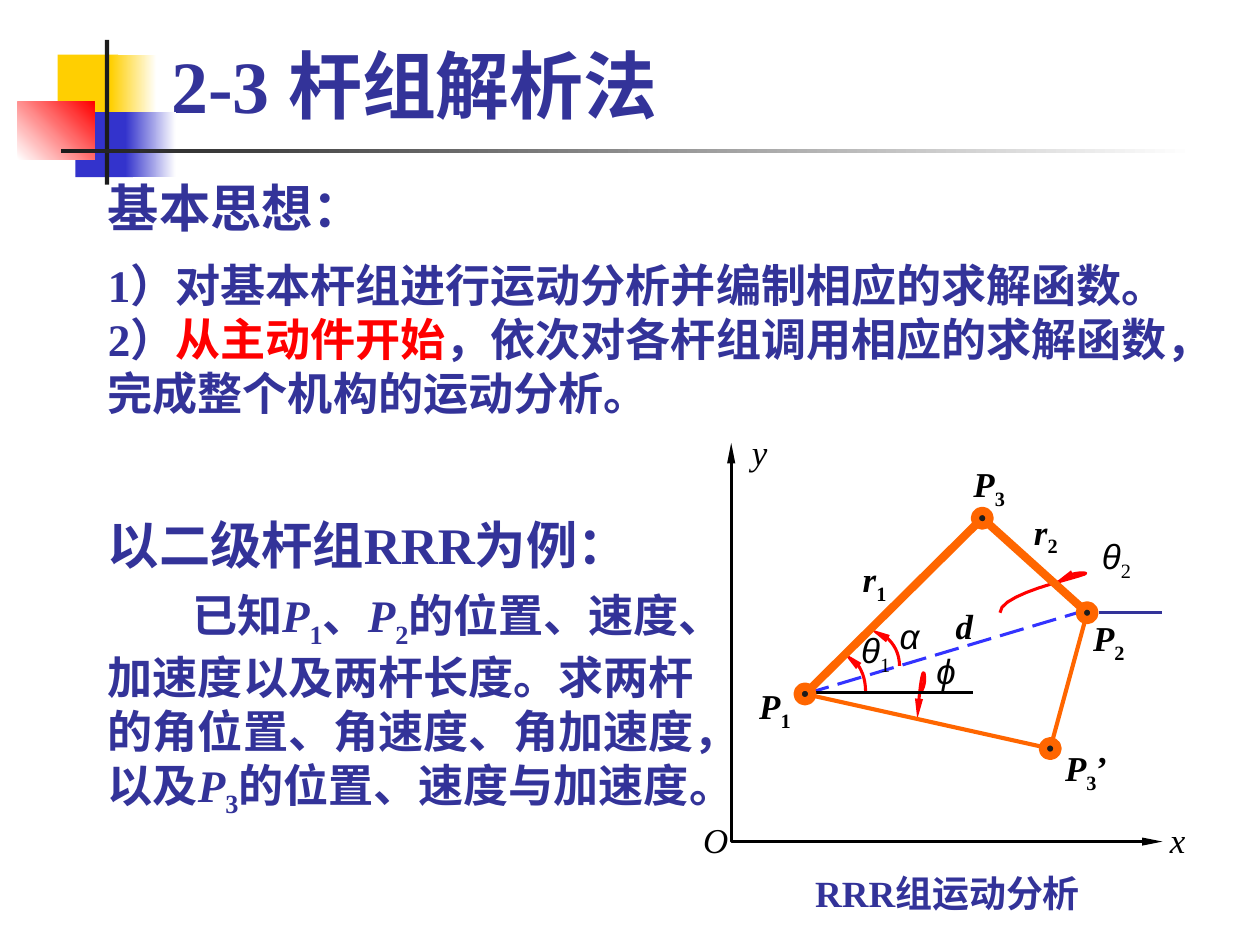
import pptx
import pptx.util
import pptx.dml.color
import pptx.enum.dml
import pptx.enum.lang
import pptx.enum.shapes
import pptx.enum.text
import pptx.oxml.ns
from lxml import etree

Inches = pptx.util.Inches
RGB = pptx.dml.color.RGBColor.from_string
qn = pptx.oxml.ns.qn
ANCHOR = pptx.enum.text.MSO_ANCHOR
ALIGN = pptx.enum.text.PP_ALIGN
SHAPE = pptx.enum.shapes.MSO_SHAPE

THEME = {
    "serif": "Times New Roman", "sans": "Arial",
    "text": "333399", "accent": "FF0000", "black": "000000", "ink": "1C1C1C",
    "yellow": "FFCF01", "blue": "3333CC", "white": "FFFFFF",
    "bar": "FF6600", "dash": "3333FF",
    "title": 36, "heading": 25, "body": 22, "caption": 18, "label": 17,
}
TITLE = {"size": "title", "bold": True}
HEADING = {"size": "heading", "bold": True}
BODY = {"size": "body", "bold": True}
CAPTION = {"size": "caption", "bold": True}
AXIS = {"size": "label", "color": "black", "italic": True}
JOINT = {"size": "label", "color": "black", "bold": True, "italic": True}
ANGLE = {"size": "label", "color": "black", "italic": True, "font": "sans"}
SUB = {"italic": False, "font": "serif", "baseline": "-25000"}
ITALIC = {"italic": True}
RED = {"color": "accent"}


def write(frame, style, paragraphs, anchor=ANCHOR.TOP, spacing=None, align=ALIGN.LEFT):
    """Fill a text frame; each paragraph is a list of (text, style change) runs."""
    frame_format = {"word_wrap": True, "vertical_anchor": anchor,
                    "margin_left": Inches(0.09), "margin_right": Inches(0.09),
                    "margin_top": Inches(0.04), "margin_bottom": Inches(0.04)}
    for name, value in frame_format.items():
        setattr(frame, name, value)
    for index, runs in enumerate(paragraphs):
        paragraph = frame.add_paragraph() if index else frame.paragraphs[0]
        paragraph.alignment = align
        paragraph.line_spacing = spacing
        for text, change in runs:
            look = {**style, **change}
            run = paragraph.add_run()
            run.text = text
            run_format = {
                "name": THEME[look.get("font", "serif")],
                "size": pptx.util.Pt(THEME[look["size"]]),
                "bold": look.get("bold", False),
                "italic": look.get("italic", False),
                "language_id": pptx.enum.lang.MSO_LANGUAGE_ID.SIMPLIFIED_CHINESE,
            }
            for name, value in run_format.items():
                setattr(run.font, name, value)
            run.font.color.rgb = RGB(look_color := THEME[look.get("color", "text")])
            if "baseline" in look:
                run.font._element.set("baseline", look["baseline"])


def stroke(shape, color, width, arrows=()):
    """Set the outline, its arrowheads and an empty effect list."""
    shape.line.color.rgb = RGB(THEME[color])
    shape.line.width = pptx.util.Pt(width)
    properties = shape._element.spPr
    for end in arrows:
        etree.SubElement(properties.find(qn("a:ln")), qn("a:" + end),
                         type="triangle", w="sm", len="lg")
    if properties.find(qn("a:effectLst")) is None:
        etree.SubElement(properties, qn("a:effectLst"))


deck = pptx.Presentation()
deck.slide_width, deck.slide_height = Inches(8.53), Inches(6.4)
slide = deck.slides.add_slide(deck.slide_layouts[5])

# Corner ornament: box, fill from, fill to, gradient angle
ornament = [
    ((0.39, 0.37, 0.41, 0.44), "yellow", None, 0),
    ((0.75, 0.37, 0.31, 0.44), "yellow", "white", 0),
    ((0.51, 0.76, 0.39, 0.44), "blue", None, 0),
    ((0.85, 0.76, 0.34, 0.44), "blue", "white", 0),
    ((0.12, 0.69, 0.52, 0.39), "white", "accent", 45),
    ((0.71, 0.27, 0.03, 0.98), "ink", None, 0),
    ((0.41, 1.01, 7.68, 0.03), "ink", "white", 0),
]
for box, start, end, angle in ornament:
    block = slide.shapes.add_shape(SHAPE.RECTANGLE, *map(Inches, box))
    block.shadow.inherit = False
    block.line.fill.background()
    if end:
        block.fill.gradient()
        block.fill.gradient_angle = angle
        for stop, color in zip(block.fill.gradient_stops, (start, end)):
            stop.color.rgb = RGB(THEME[color])
    else:
        block.fill.solid()
        block.fill.fore_color.rgb = RGB(THEME[start])

title = slide.shapes.title
title.left, title.top, title.width, title.height = map(Inches, (1.07, 0.22, 7.27, 0.69))
write(title.text_frame, TITLE, [[("2-3 杆组解析法", {})]], ANCHOR.BOTTOM)

passages = [
    ((0.64, 1.19, 7.25, 0.43), HEADING, ANCHOR.MIDDLE, 0, [[("基本思想：", {})]]),
    ((0.64, 1.7, 7.44, 1.19), BODY, ANCHOR.TOP, 0, [
        [("1）对基本杆组进行运动分析并编制相应的求解函数。", {})],
        [("2）", {}), ("从主动件开始", RED),
         ("，依次对各杆组调用相应的求解函数，完成整个机构的运动分析。", {})]]),
    ((0.64, 3.47, 7.25, 0.43), HEADING, ANCHOR.MIDDLE, 0, [[("以二级杆组RRR为例：", {})]]),
    ((0.64, 3.94, 4.31, 2.02), BODY, ANCHOR.TOP, 0.57, [
        [("已知", {}), ("P", ITALIC), ("1", SUB), ("、", {}), ("P", ITALIC), ("2", SUB),
         ("的位置、速度、加速度以及两杆长度。求两杆的角位置、角速度、角加速度，以及", {}),
         ("P", ITALIC), ("3", SUB), ("的位置、速度与加速度。", {})]]),
]
for box, style, anchor, indent, paragraphs in passages:
    frame = slide.shapes.add_textbox(*map(Inches, box)).text_frame
    write(frame, style, paragraphs, anchor)
    if indent:
        frame.paragraphs[0]._p.get_or_add_pPr().set("indent", str(Inches(indent)))

# Linkage diagram
diagram = slide.shapes.add_group_shape().shapes
P1, P2, P3, P3_MIRROR = (5.45, 4.7), (7.36, 4.15), (6.65, 3.51), (7.11, 5.07)

arcs = {
    "theta2": [(6.77, 4.15), (6.77, 4), (7.48, 3.88), (7.33, 3.88),
               (7.26, 3.88), (7.19, 3.91), (7.14, 3.95)],
    "phi": [(6.24, 4.68), (6.25, 4.66), (6.26, 4.63), (6.26, 4.6),
            (6.26, 4.54), (6.24, 4.48), (6.21, 4.87)],
    "alpha": [(6.09, 4.51), (6.09, 4.39), (6.01, 4.29), (5.89, 4.26)],
    "theta1": [(5.86, 4.68), (5.86, 4.56), (5.8, 4.46), (5.71, 4.42)],
}
STEPS = 12
outlines = [([(4.95, 3), (4.95, 5.7), (7.87, 5.7)], "black", ("headEnd", "tailEnd"))]
for controls in arcs.values():
    points = [controls[0]]
    for first in range(0, len(controls) - 1, 3):
        a, b, c, d = controls[first:first + 4]
        for step in range(1, STEPS + 1):
            t = step / STEPS
            u = 1 - t
            points.append([u**3 * a[k] + 3 * u * u * t * b[k] + 3 * u * t * t * c[k]
                           + t**3 * d[k] for k in (0, 1)])
    outlines.append((points, "accent", ("tailEnd",)))
for points, color, arrows in outlines:
    points = [(Inches(x), Inches(y)) for x, y in points]
    builder = diagram.build_freeform(*points[0])
    builder.add_line_segments(points[1:], close=False)
    outline = builder.convert_to_shape()
    outline.fill.background()
    stroke(outline, color, 1.5, arrows)

segments = [
    (P1, (7.36, 4.13), "dash", 1.5),
    (P1, P3_MIRROR, "bar", 2),
    (P1, P3, "bar", 4),
    (P3, P2, "bar", 4),
    (P3_MIRROR, P2, "bar", 2),
    ((5.52, 4.69), (6.59, 4.69), "black", 1.5),
    ((7.44, 4.15), (7.87, 4.15), "text", 1.5),
]
for start, end, color, width in segments:
    segment = diagram.add_connector(pptx.enum.shapes.MSO_CONNECTOR.STRAIGHT,
                                    *map(Inches, start + end))
    stroke(segment, color, width)
    if color == "dash":
        segment.line.dash_style = pptx.enum.dml.MSO_LINE.LONG_DASH

for x, y in (P1, P2, P3, P3_MIRROR):
    pin = diagram.add_shape(SHAPE.OVAL, *map(Inches, (x - 0.05, y - 0.05, 0.1, 0.1)))
    pin.shadow.inherit = False
    pin.fill.solid()
    pin.fill.fore_color.rgb = RGB(THEME["ink"])
    stroke(pin, "bar", 4)

labels = [
    (5, 2.86, 0.36, AXIS, "y", "", ""),
    (4.67, 5.49, 0.34, AXIS, "O", "", ""),
    (7.83, 5.49, 0.36, AXIS, "x", "", ""),
    (5.05, 4.58, 0.5, JOINT, "P", "1", ""),
    (7.31, 4.12, 0.56, JOINT, "P", "2", ""),
    (6.5, 3.08, 0.66, JOINT, "P", "3", ""),
    (7.12, 5, 0.56, JOINT, "P", "3", "’"),
    (5.75, 3.72, 0.52, JOINT, "r", "1", ""),
    (6.91, 3.4, 0.46, JOINT, "r", "2", ""),
    (6.38, 4.04, 0.36, JOINT, "d", "", ""),
    (6, 4.12, 0.34, ANGLE, "α", "", ""),
    (6.25, 4.36, 0.34, ANGLE, "ϕ", "", ""),
    (5.74, 4.22, 0.5, ANGLE, "θ", "1", ""),
    (7.37, 3.58, 0.57, ANGLE, "θ", "2", ""),
]
for left, top, width, style, symbol, index, prime in labels:
    height = 0.34 if style is ANGLE else 0.42 if index else 0.38
    label = diagram.add_textbox(*map(Inches, (left, top, width, height)))
    runs = [(symbol, {}), (index, SUB), (prime, {"italic": False})]
    write(label.text_frame, style, [[run for run in runs if run[0]]],
          spacing=None if style is ANGLE else 1.05)

caption = diagram.add_textbox(*map(Inches, (5.03, 5.84, 2.77, 0.34)))
write(caption.text_frame, CAPTION, [[("RRR组运动分析", {})]], spacing=1.05, align=ALIGN.CENTER)

deck.save("out.pptx")
